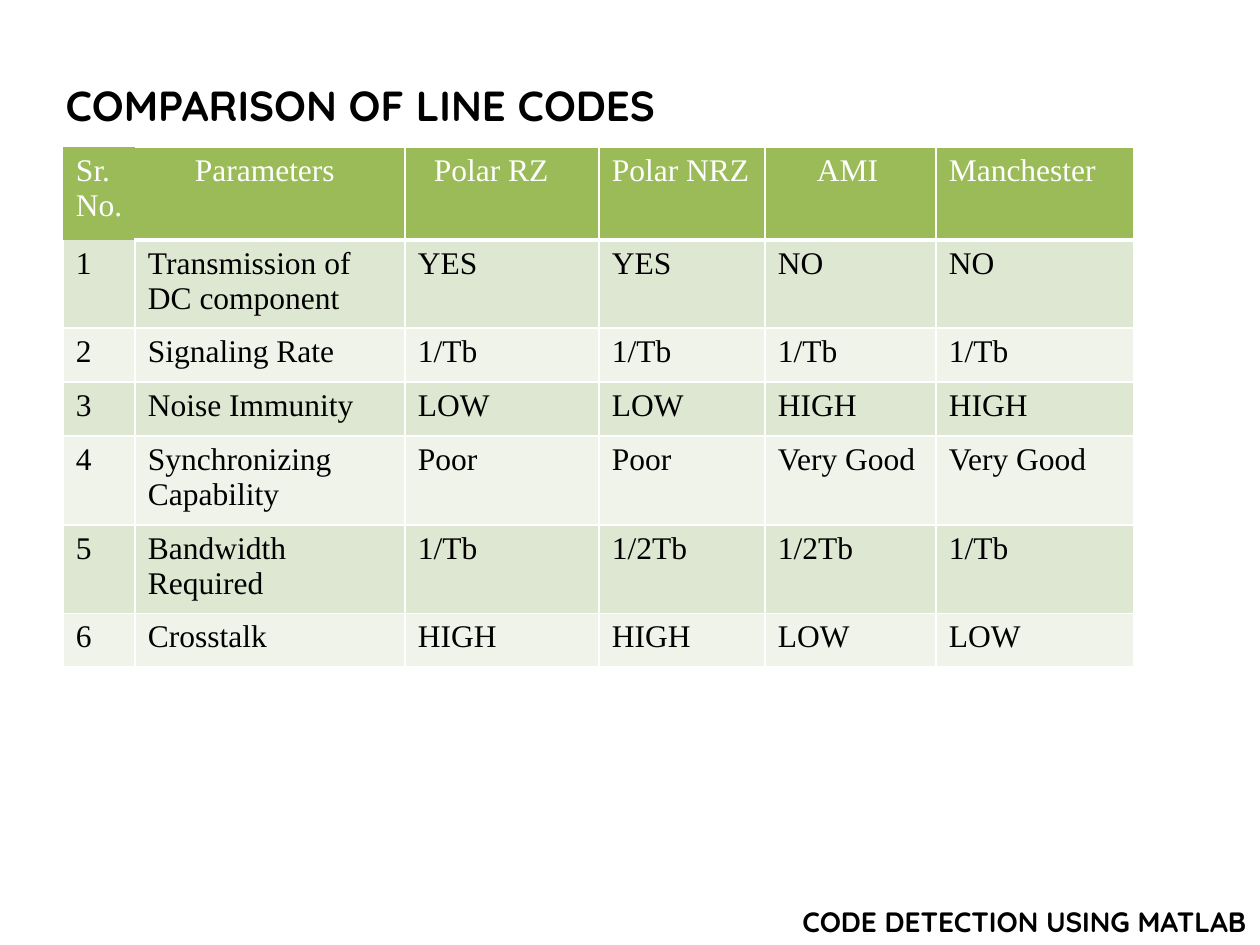
import pptx
import pptx.dml.color
import pptx.enum.text
import pptx.oxml.ns
import pptx.util
from lxml import etree

SCALE = 914400 // 126
COLORS = {
    "text": "000000",
    "white": "FFFFFF",
    "header": "9BBB59",
    "odd": "DEE7D1",
    "even": "EFF3EA",
}
COLUMN_WIDTHS = [72, 270, 194, 166, 171, 198]
ROW_HEIGHTS = [93, 88, 54, 54, 89, 88, 53]
HEADER_INDENTS = [0, 47, 16, 0, 39, 0]
ROWS = [
    ["Sr. No.", "Parameters", "Polar RZ", "Polar NRZ", "AMI", "Manchester"],
    ["1", "Transmission of DC component", "YES", "YES", "NO", "NO"],
    ["2", "Signaling Rate", "1/Tb", "1/Tb", "1/Tb", "1/Tb"],
    ["3", "Noise Immunity", "LOW", "LOW", "HIGH", "HIGH"],
    ["4", "Synchronizing Capability", "Poor", "Poor", "Very Good", "Very Good"],
    ["5", "Bandwidth Required", "1/Tb", "1/2Tb", "1/2Tb", "1/Tb"],
    ["6", "Crosstalk", "HIGH", "HIGH", "LOW", "LOW"],
]


def px(value):
    return pptx.util.Emu(value * SCALE)


def rgb(name):
    return pptx.dml.color.RGBColor.from_string(COLORS[name])


class SlideBuilder:
    heading_font = "Quicksand"
    table_font = "Times New Roman"
    cell_margin = 13

    def __init__(self, slide):
        self.slide = slide

    def style(self, paragraph, font_name, size, color, bold=False):
        font = paragraph.font
        font.name = font_name
        font.size = pptx.util.Pt(size)
        font.bold = bold
        font.color.rgb = rgb(color)

    def title(self, text, left, top, width, height):
        shape = self.slide.shapes.title
        shape.left, shape.top = px(left), px(top)
        shape.width, shape.height = px(width), px(height)
        frame = shape.text_frame
        frame.text = text
        frame.auto_size = pptx.enum.text.MSO_AUTO_SIZE.NONE
        frame.vertical_anchor = pptx.enum.text.MSO_ANCHOR.TOP
        paragraph = frame.paragraphs[0]
        paragraph.alignment = pptx.enum.text.PP_ALIGN.LEFT
        self.style(paragraph, self.heading_font, 24, "text", True)

    def caption(self, text, left, top, width, height):
        shape = self.slide.shapes.add_textbox(px(left), px(top), px(width), px(height))
        frame = shape.text_frame
        frame.text = text
        frame.word_wrap = False
        frame.auto_size = pptx.enum.text.MSO_AUTO_SIZE.SHAPE_TO_FIT_TEXT
        paragraph = frame.paragraphs[0]
        paragraph.alignment = pptx.enum.text.PP_ALIGN.CENTER
        self.style(paragraph, self.heading_font, 16, "text", True)

    def borders(self, cell, widths):
        properties = cell._tc.get_or_add_tcPr()
        for index, (side, width) in enumerate(zip("LRTB", widths)):
            line = etree.Element(pptx.oxml.ns.qn(f"a:ln{side}"))
            if width:
                line.set("w", str(pptx.util.Pt(width)))
                fill = etree.SubElement(line, pptx.oxml.ns.qn("a:solidFill"))
                color = etree.SubElement(fill, pptx.oxml.ns.qn("a:srgbClr"))
                color.set("val", COLORS["white"])
            else:
                etree.SubElement(line, pptx.oxml.ns.qn("a:noFill"))
            properties.insert(index, line)

    def cell(self, cell, text, fill, color, indent, border_widths):
        cell.text = text
        cell.margin_left = px(self.cell_margin + indent)
        cell.fill.solid()
        cell.fill.fore_color.rgb = rgb(fill)
        self.style(cell.text_frame.paragraphs[0], self.table_font, 18, color)
        self.borders(cell, border_widths)

    def table(self, rows, left, top, column_widths, row_heights):
        shape = self.slide.shapes.add_table(
            len(rows), len(column_widths), px(left), px(top),
            px(sum(column_widths)), px(sum(row_heights)),
        )
        table = shape.table
        for column, width in zip(table.columns, column_widths):
            column.width = px(width)
        for row, height in zip(table.rows, row_heights):
            row.height = px(height)
        for row_index, texts in enumerate(rows):
            for column_index, text in enumerate(texts):
                cell = table.cell(row_index, column_index)
                if row_index == 0:
                    first = column_index == 0
                    left_width = 1 if column_index > 1 else 0
                    widths = (0, 0, 0, 0) if first else (left_width, 1, 1, 3)
                    indent = HEADER_INDENTS[column_index]
                    self.cell(cell, text, "header", "white", indent, widths)
                else:
                    top_width = 0 if row_index == 1 and column_index == 0 else 1
                    fill = "odd" if row_index % 2 else "even"
                    self.cell(cell, text, fill, "text", 0, (1, 1, top_width, 1))


def main():
    presentation = pptx.Presentation()
    presentation.slide_width = px(1260)
    presentation.slide_height = px(945)
    slide = presentation.slides.add_slide(presentation.slide_layouts[5])
    builder = SlideBuilder(slide)
    builder.caption("CODE DETECTION USING MATLAB", 789, 898, 471, 47)
    builder.title("COMPARISON OF LINE CODES", 53, 73, 935, 63)
    builder.table(ROWS, 63, 147, COLUMN_WIDTHS, ROW_HEIGHTS)
    presentation.save("out.pptx")


if __name__ == "__main__":
    main()
